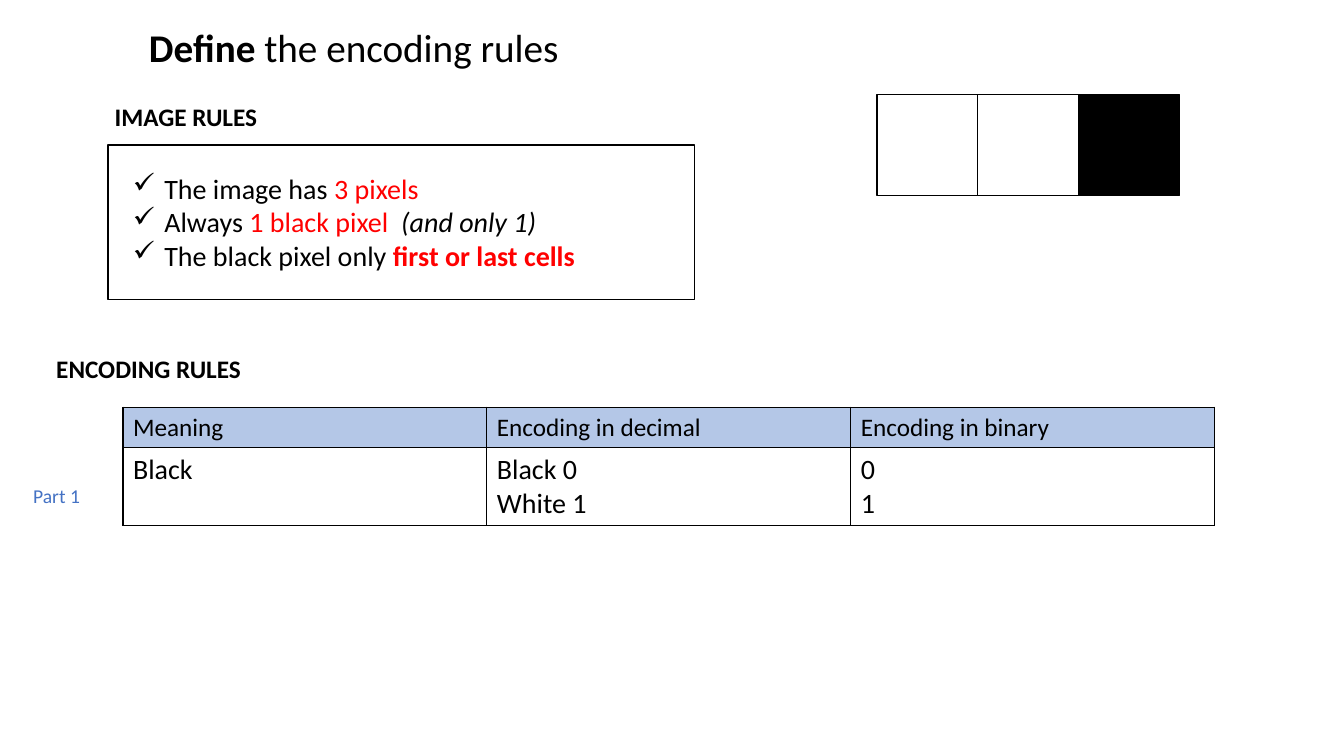
from lxml.etree import SubElement
from pptx import Presentation
from pptx.dml.color import RGBColor
from pptx.enum.shapes import MSO_SHAPE as Preset
from pptx.enum.text import MSO_AUTO_SIZE as AutoSize
from pptx.oxml.ns import qn
from pptx.util import Inches, Pt

BLACK, WHITE, RED, BLUE, HEADER = "000000", "FFFFFF", "FF0000", "4472C4", "B4C7E7"
GRID = Inches(0.1)


def on_grid(*cells):
    """Turn counts of grid columns and rows into lengths."""
    return [round(cell * GRID) for cell in cells]


def write(paragraph, parts, size):
    """Add runs given as (text, colour, font attributes)."""
    for words, colour, style in parts:
        run = paragraph.add_run()
        run.text = words
        run.font.color.rgb = RGBColor.from_string(colour)
        for key, value in {"name": "Calibri", "size": Pt(size), **style}.items():
            setattr(run.font, key, value)


deck = Presentation()
deck.slide_width, deck.slide_height = on_grid(133.33, 75)
slide = deck.slides.add_slide(deck.slide_layouts[6])
shapes = slide.shapes

# Texts: place, size, wrap, bullet, paragraphs
bold, italic = {"bold": True}, {"italic": True}
image_rules = [
    [("The image has ", BLACK, {}), ("3 pixels", RED, {})],
    [("Always ", BLACK, {}), ("1 black pixel  ", RED, {}), ("(and only 1)", BLACK, italic)],
    [("The black pixel only ", BLACK, {}), ("first or last cells", RED, bold)],
]
title = [[("Define", BLACK, bold), (" the encoding rules", BLACK, {})]]
texts = [
    ((12.2, 16.5, 45.9, 11.1), 20, False, "✓", image_rules),
    ((2.3, 47.5, 6.7, 3.4), 14, False, None, [[("Part 1", BLUE, {})]]),
    ((13.8, 1.8, 45, 5.7), 28, True, None, title),
    ((4.6, 34.6, 20.6, 4), 18, False, None, [[("ENCODING RULES", BLACK, bold)]]),
    ((10.4, 9.6, 16.3, 4), 18, False, None, [[("IMAGE RULES", BLACK, bold)]]),
]
for place, size, wrap, bullet, lines in texts:
    frame = shapes.add_textbox(*on_grid(*place)).text_frame
    frame.word_wrap = wrap
    frame.auto_size = AutoSize.SHAPE_TO_FIT_TEXT
    for index, parts in enumerate(lines):
        paragraph = frame.add_paragraph() if index else frame.paragraphs[0]
        write(paragraph, parts, size)
        if bullet:
            properties = paragraph._p.get_or_add_pPr()
            indent, = on_grid(3.12)
            properties.set("marL", str(indent))
            properties.set("indent", str(-indent))
            SubElement(properties, qn("a:buChar"), char=bullet)

# Encoding table
encoding = [
    (18, 4, HEADER, ["Meaning", "Encoding in decimal", "Encoding in binary"]),
    (20, 7.7, None, ["Black", "Black 0\nWhite 1", "0\n1"]),
]
table = shapes.add_table(2, 3, *on_grid(12.2, 40.4, 108.3, 11.7)).table
table.first_row = table.horz_banding = False
for row, (size, height, fill, entries) in enumerate(encoding):
    table.rows[row].height, = on_grid(height)
    for column, entry in enumerate(entries):
        cell = table.cell(row, column)
        for index, line in enumerate(entry.split("\n")):
            frame = cell.text_frame
            paragraph = frame.add_paragraph() if index else frame.paragraphs[0]
            write(paragraph, [(line, BLACK, {})], size)
        properties = cell._tc.get_or_add_tcPr()
        for side in ("a:lnL", "a:lnR", "a:lnT", "a:lnB"):
            border = SubElement(properties, qn(side), w=str(Pt(1)))
            SubElement(SubElement(border, qn("a:solidFill")), qn("a:srgbClr"), val=BLACK)
        if fill:
            cell.fill.solid()
            cell.fill.fore_color.rgb = RGBColor.from_string(fill)
        else:
            cell.fill.background()

# Frame of the image rules, then the three pixels
pixel = 10
boxes = [((10.7, 14.4, 58.2, 15.3), None)]
boxes += [((87 + index * pixel, 9.4, pixel, pixel), colour)
          for index, colour in enumerate([WHITE, WHITE, BLACK])]
for place, fill in boxes:
    box = shapes.add_shape(Preset.RECTANGLE, *on_grid(*place))
    box.shadow.inherit = False
    box.line.color.rgb = RGBColor.from_string(BLACK)
    box.line.width = Pt(1)
    if fill:
        box.fill.solid()
        box.fill.fore_color.rgb = RGBColor.from_string(fill)
    else:
        box.fill.background()

deck.save("out.pptx")
